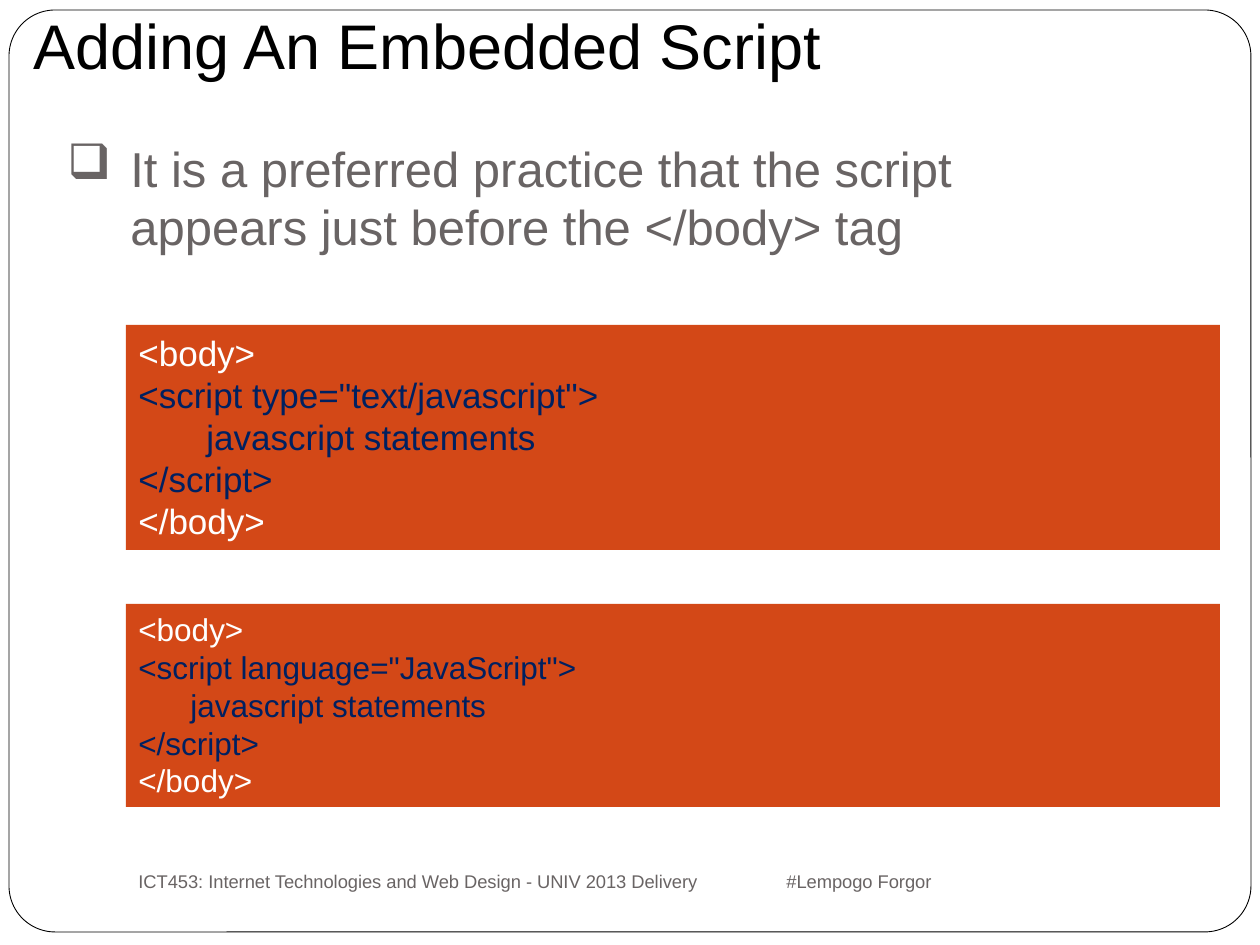
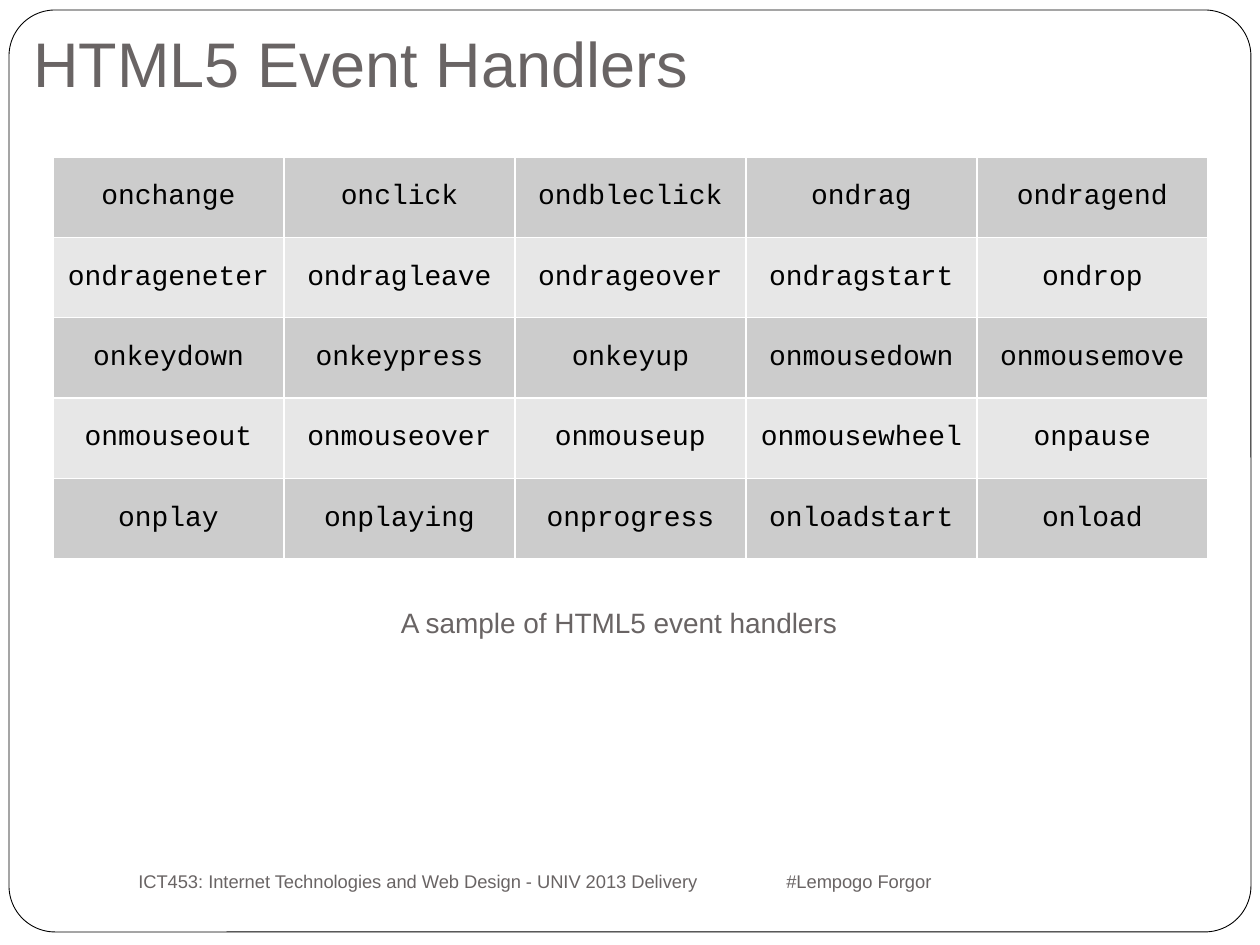
from lxml.etree import SubElement
from pptx import Presentation
from pptx.dml.color import RGBColor
from pptx.enum.shapes import MSO_SHAPE
from pptx.enum.text import MSO_ANCHOR, PP_ALIGN
from pptx.oxml.ns import qn
from pptx.util import Pt

SCALE = 914400 / 126  # EMU per px
COLORS = {name: RGBColor.from_string(value) for name, value in {
    "white": "FFFFFF", "black": "000000", "gray": "696464", "orange": "D34817",
    "navy": "002060", "row_dark": "CCCCCC", "row_light": "E7E7E7",
}.items()}


def px(length):
    return round(length * SCALE)


def write(frame, lines, size, color, font="Arial", align=PP_ALIGN.LEFT, anchor=MSO_ANCHOR.TOP):
    """Fill a text frame with equally styled lines and return its paragraphs."""
    frame.word_wrap = True
    frame.vertical_anchor = anchor
    frame.text = "\n".join(lines)
    for paragraph in frame.paragraphs:
        paragraph.alignment = align
        paragraph.font.size = Pt(size)
        paragraph.font.name = font
        paragraph.font.color.rgb = COLORS[color]
    return frame.paragraphs


presentation = Presentation()
presentation.slide_width, presentation.slide_height = px(1260), px(945)

# Shared frame, title and footer: title, colour, title top, footer width
slides = []
for title, title_color, title_top, footer_width in [
    ("Adding An Embedded Script", "black", 0, 1000),
    ("HTML5 Event Handlers", "gray", 18, 1085),
]:
    slide = presentation.slides.add_slide(presentation.slide_layouts[6])
    slides.append(slide)
    border = slide.shapes.add_shape(MSO_SHAPE.ROUNDED_RECTANGLE, px(9), px(10), px(1242), px(922))
    border.adjustments[0] = 0.05
    border.shadow.inherit = False
    border.fill.solid()
    border.fill.fore_color.rgb = COLORS["white"]
    border.line.color.rgb = COLORS["black"]
    border.line.width = Pt(0.5)

    title_box = slide.shapes.add_textbox(px(21), px(title_top), px(1061), px(89))
    write(title_box.text_frame, [title], 36, title_color)[0].space_before = Pt(4)

    footer = slide.shapes.add_textbox(px(126), px(850), px(footer_width), px(63))
    footer_text = "ICT453: Internet Technologies and Web Design - UNIV 2013 Delivery\t#Lempogo Forgor"
    paragraph = write(footer.text_frame, [footer_text], 10.5, "gray", anchor=MSO_ANCHOR.MIDDLE)[0]
    properties = paragraph.font._element.getparent()
    tabs = properties.makeelement(qn("a:tabLst"), {})
    properties.insert(0, tabs)
    SubElement(tabs, qn("a:tab"), pos=str(px(648)), algn="l")

script_slide, events_slide = slides

# Bulleted statement
statement = script_slide.shapes.add_textbox(px(55), px(132), px(1071), px(137))
paragraph = write(statement.text_frame, [
    "It is a preferred practice that the script appears just before the </body> tag",
], 28, "gray")[0]
properties = paragraph.font._element.getparent()
properties.set("marL", str(px(63)))
properties.set("indent", str(-px(63)))
bullet = properties.makeelement(qn("a:buChar"), {"char": "❑"})
properties.insert(0, bullet)

# Code panels: top, height, script tag, text size, indent of the statements
for top, height, script_tag, size, indent in [
    (325, 225, '<script type="text/javascript">', 20, 68),
    (604, 203, '<script language="JavaScript">', 18, 52),
]:
    panel = script_slide.shapes.add_shape(MSO_SHAPE.RECTANGLE, px(126), px(top), px(1094), px(height))
    panel.shadow.inherit = False
    panel.fill.solid()
    panel.fill.fore_color.rgb = COLORS["orange"]
    panel.line.fill.background()
    code = ["<body>", script_tag, "javascript statements", "</script>", "</body>"]
    paragraphs = write(panel.text_frame, code, size, "navy")
    for body_tag in (paragraphs[0], paragraphs[-1]):
        body_tag.font.color.rgb = COLORS["white"]
    paragraphs[2].font._element.getparent().set("marL", str(px(indent)))

# Table of event handlers
handlers = [
    ["onchange", "onclick", "ondbleclick", "ondrag", "ondragend"],
    ["ondrageneter", "ondragleave", "ondrageover", "ondragstart", "ondrop"],
    ["onkeydown", "onkeypress", "onkeyup", "onmousedown", "onmousemove"],
    ["onmouseout", "onmouseover", "onmouseup", "onmousewheel", "onpause"],
    ["onplay", "onplaying", "onprogress", "onloadstart", "onload"],
]
table = events_slide.shapes.add_table(5, 5, px(53), px(157), px(1155), px(402)).table
table.first_row = False
for row, names in enumerate(handlers):
    for column, name in enumerate(names):
        cell = table.cell(row, column)
        write(cell.text_frame, [name], 16, "black", "Courier New", PP_ALIGN.CENTER)
        cell.vertical_anchor = MSO_ANCHOR.MIDDLE
        cell_properties = cell._tc.get_or_add_tcPr()
        for side in ("lnL", "lnR", "lnT", "lnB"):
            edge = SubElement(cell_properties, qn(f"a:{side}"), w=str(Pt(1)))
            edge_fill = SubElement(edge, qn("a:solidFill"))
            SubElement(edge_fill, qn("a:srgbClr"), val=str(COLORS["white"]))
        cell.fill.solid()
        cell.fill.fore_color.rgb = COLORS["row_light" if row % 2 else "row_dark"]

# Table caption
caption = events_slide.shapes.add_textbox(px(136), px(599), px(966), px(81))
write(caption.text_frame, ["A sample of HTML5 event handlers"], 16, "gray", align=PP_ALIGN.CENTER)

presentation.save("out.pptx")
